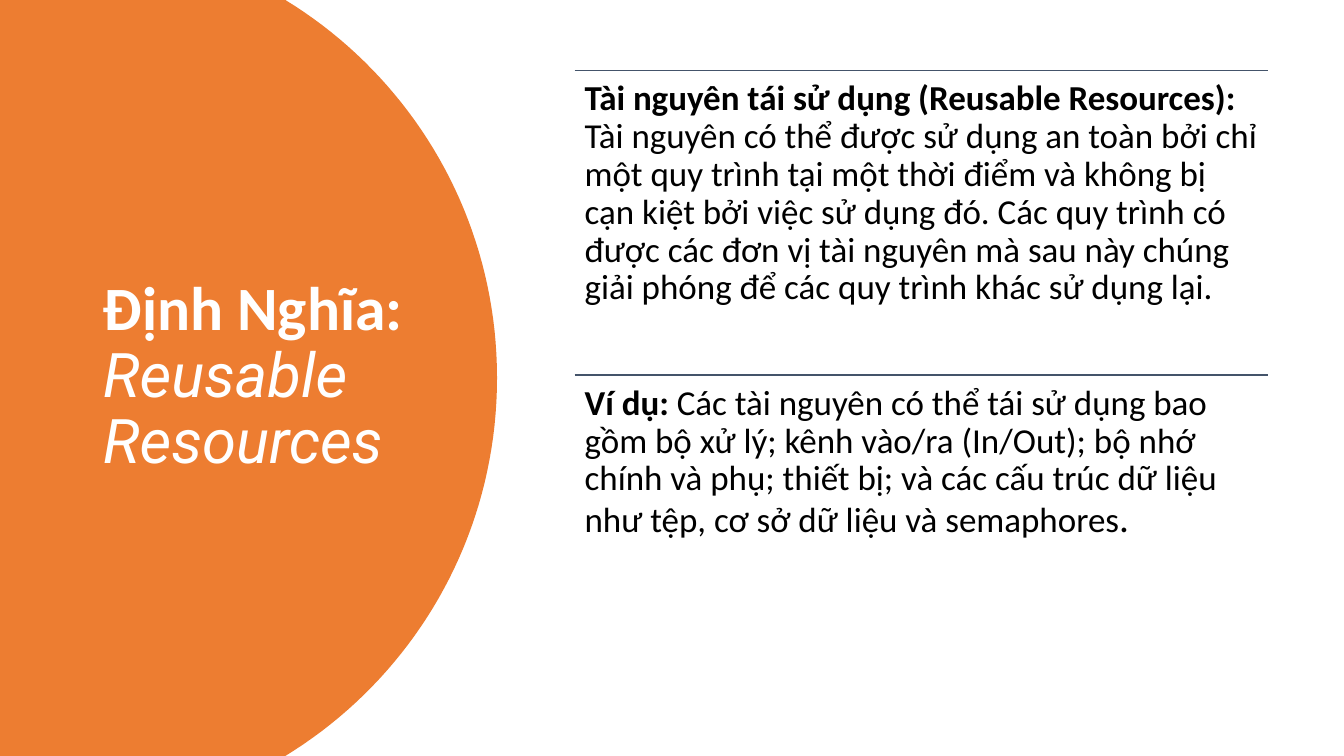
"""Build the slide that defines reusable resources."""
from dataclasses import dataclass

from lxml.etree import SubElement
from pptx import Presentation
from pptx.dml.color import RGBColor
from pptx.enum.shapes import MSO_CONNECTOR
from pptx.enum.text import MSO_ANCHOR, MSO_AUTO_SIZE, PP_ALIGN
from pptx.oxml.ns import qn
from pptx.slide import Slide
from pptx.text.text import TextFrame
from pptx.util import Inches, Pt

ORANGE, WHITE, BLACK, SLATE = "ED7D31", "FFFFFF", "000000", "44546A"
SLIDE_WIDTH, SLIDE_HEIGHT = 13.33, 7.5
SECTION_LEFT, SECTION_TOP = 5.7, 0.7
SECTION_WIDTH, SECTION_HEIGHT = 6.88, 3.02
CURVE_STEPS = 40

Point = tuple[float, float]


@dataclass(frozen=True)
class Phrase:
    """A run of text with its own look."""
    text: str
    size: float
    color: str = BLACK
    font: str = "Calibri"
    bold: bool = False
    italic: bool = False


HEADING = (
    Phrase("Định Nghĩa: ", 44, WHITE, bold=True),
    Phrase("Reusable Resources", 44, WHITE, font="Roboto", italic=True),
)
SECTIONS = (
    (
        Phrase("Tài nguyên tái sử dụng (Reusable Resources): ", 25, bold=True),
        Phrase("Tài nguyên có thể được sử dụng an toàn bởi chỉ một quy trình "
               "tại một thời điểm và không bị cạn kiệt bởi việc sử dụng đó. "
               "Các quy trình có được các đơn vị tài nguyên mà sau này chúng "
               "giải phóng để các quy trình khác sử dụng lại.", 25),
    ),
    (
        Phrase("Ví dụ: ", 25, bold=True),
        Phrase("Các tài nguyên có thể tái sử dụng bao gồm bộ xử lý; kênh "
               "vào/ra (In/Out); bộ nhớ chính và phụ; thiết bị; và các cấu "
               "trúc dữ liệu như tệp, cơ sở dữ liệu và semaphores", 25),
        Phrase(".", 28),
    ),
)


def rgb(color: str) -> RGBColor:
    """Turn a hex string into a colour."""
    return RGBColor.from_string(color)


def write(frame: TextFrame, phrases: tuple[Phrase, ...], anchor: MSO_ANCHOR) -> None:
    """Fill a frame with one left-aligned paragraph."""
    frame.word_wrap = True
    frame.auto_size = MSO_AUTO_SIZE.NONE
    frame.vertical_anchor = anchor
    paragraph = frame.paragraphs[0]
    paragraph.alignment = PP_ALIGN.LEFT
    paragraph.line_spacing = 0.9
    for phrase in phrases:
        run = paragraph.add_run()
        run.text = phrase.text
        run.font.name = phrase.font
        run.font.size = Pt(phrase.size)
        run.font.bold = phrase.bold
        run.font.italic = phrase.italic
        run.font.color.rgb = rgb(phrase.color)


def curve(start: Point, pull_out: Point, pull_in: Point, end: Point) -> list[Point]:
    """Return points along a cubic curve."""
    points = []
    for step in range(CURVE_STEPS + 1):
        t = step / CURVE_STEPS
        weights = ((1 - t) ** 3, 3 * t * (1 - t) ** 2, 3 * t ** 2 * (1 - t), t ** 3)
        x, y = (sum(weight * value for weight, value in zip(weights, axis))
                for axis in zip(start, pull_out, pull_in, end))
        points.append((x, y))
    return points


def add_heading(slide: Slide) -> None:
    """Add the title in front of its round orange panel."""
    upper = curve((2.83, 0), (4.09, 0.77), (4.93, 2.16), (4.93, 3.75))
    lower = [(x, SLIDE_HEIGHT - y) for x, y in reversed(upper[:-1])]
    outline = upper + lower + [(0, SLIDE_HEIGHT)]
    builder = slide.shapes.build_freeform(0, 0, scale=1.0)
    builder.add_line_segments([(Inches(x), Inches(y)) for x, y in outline])
    panel = builder.convert_to_shape()
    panel.shadow.inherit = False
    panel.fill.solid()
    panel.fill.fore_color.rgb = rgb(ORANGE)
    panel.line.fill.background()

    title = slide.shapes.title
    title.left, title.top = Inches(0.92), Inches(0.7)
    title.width, title.height = Inches(3.23), Inches(6.09)
    write(title.text_frame, HEADING, MSO_ANCHOR.MIDDLE)
    title.element.addprevious(panel.element)


def add_section(slide: Slide, top: float, phrases: tuple[Phrase, ...]) -> None:
    """Add a rule with its text below."""
    left, right = Inches(SECTION_LEFT), Inches(SECTION_LEFT + SECTION_WIDTH)
    rule = slide.shapes.add_connector(
        MSO_CONNECTOR.STRAIGHT, left, Inches(top), right, Inches(top))
    rule.line.color.rgb = rgb(SLATE)
    rule.line.width = Pt(1)
    SubElement(rule.element.spPr, qn("a:effectLst"))

    section = slide.shapes.add_textbox(
        left, Inches(top), Inches(SECTION_WIDTH), Inches(SECTION_HEIGHT))
    frame = section.text_frame
    frame.margin_left = frame.margin_right = Inches(0.1)
    frame.margin_top = frame.margin_bottom = Inches(0.1)
    write(frame, phrases, MSO_ANCHOR.TOP)


def main() -> None:
    """Build and save the presentation."""
    presentation = Presentation()
    presentation.slide_width = Inches(SLIDE_WIDTH)
    presentation.slide_height = Inches(SLIDE_HEIGHT)
    slide = presentation.slides.add_slide(
        presentation.slide_layouts.get_by_name("Title Only"))
    add_heading(slide)
    for index, phrases in enumerate(SECTIONS):
        add_section(slide, SECTION_TOP + index * SECTION_HEIGHT, phrases)
    presentation.save("out.pptx")


if __name__ == "__main__":
    main()
